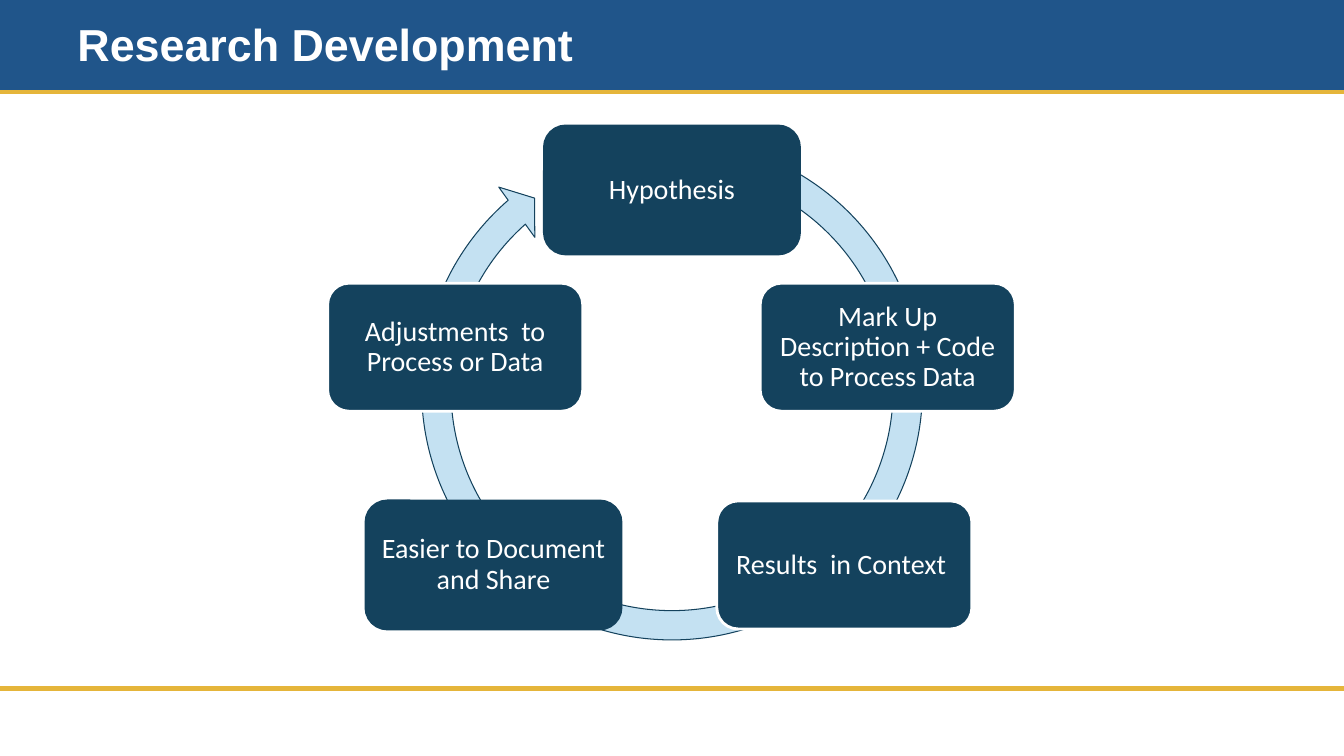
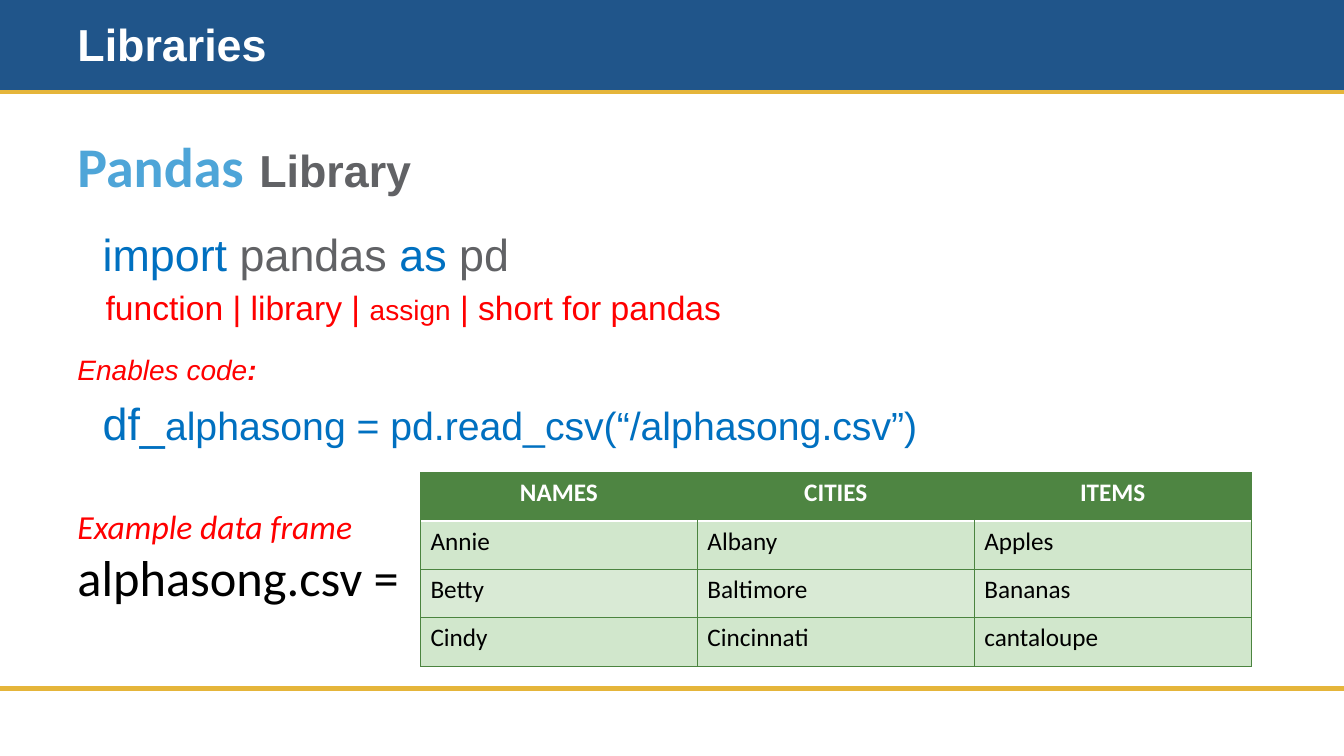
from lxml import etree
from pptx import Presentation
from pptx.dml.color import RGBColor
from pptx.enum.shapes import MSO_CONNECTOR as Connector, MSO_SHAPE as Shape
from pptx.enum.text import MSO_ANCHOR as Anchor, PP_ALIGN as Align
from pptx.oxml.ns import qn
from pptx.util import Emu, Pt

PX = 9144  # EMU; 100 px to the inch
WIDTH, HEIGHT = 1333, 750
BAND_HEIGHT, FOOTER_TOP = 91, 683

WHITE, BLACK, RED = "FFFFFF", "000000", "FF0000"
BAND, GOLD = "20558A", "E5B53A"
NAVY, PALE_BLUE = "14425D", "C4E1F2"
SKY, GREY, CODE_BLUE = "4EA5D8", "616265", "0070C0"
GREEN, GRID_GREEN = "4E8542", "4B843F"
ROW_FILLS = ["D1E7CC", "D9EAD5"]

TITLE = dict(size=32, name="Arial", color=WHITE, bold=True)
NODE = dict(size=20, name="Calibri", color=WHITE)


def px(*lengths):
    return [Emu(length * PX) for length in lengths]


def rgb(value):
    return RGBColor.from_string(value)


def apply(target, **values):
    for name, value in values.items():
        setattr(target, name, value)


def add_runs(paragraph, *runs):
    """Add (text, format) pairs to a paragraph."""
    for text, style in runs:
        run = paragraph.add_run()
        run.text = text
        for name, value in style.items():
            if name == "color":
                run.font.color.rgb = rgb(value)
            else:
                setattr(run.font, name, Pt(value) if name == "size" else value)


def add_box(slide, kind, box, fill, line=None, line_width=0):
    shape = slide.shapes.add_shape(kind, *px(*box))
    shape.shadow.inherit = False
    shape.fill.solid()
    shape.fill.fore_color.rgb = rgb(fill)
    if line:
        shape.line.color.rgb = rgb(line)
        shape.line.width = Pt(line_width)
    else:
        shape.line.fill.background()
    return shape


def add_text(slide, box, paragraphs, anchor=Anchor.TOP):
    """Add a text box from (indent px, space before pt, runs) paragraphs."""
    frame = slide.shapes.add_textbox(*px(*box)).text_frame
    apply(frame, word_wrap=True, vertical_anchor=anchor)
    for index, (indent, before, runs) in enumerate(paragraphs):
        paragraph = frame.add_paragraph() if index else frame.paragraphs[0]
        if indent:
            paragraph._p.get_or_add_pPr().set("marL", str(indent * PX))
        paragraph.space_before = Pt(before)
        add_runs(paragraph, *runs)


def add_rule(slide, top):
    rule = slide.shapes.add_connector(Connector.STRAIGHT, *px(0, top, WIDTH, top))
    rule.line.color.rgb = rgb(GOLD)
    rule.line.width = Pt(3)
    etree.SubElement(rule._element.spPr, qn("a:effectLst"))


def add_slide(presentation, title):
    """Add a slide with the shared band, rules and title."""
    slide = presentation.slides.add_slide(presentation.slide_layouts[6])
    add_box(slide, Shape.RECTANGLE, (0, 0, WIDTH, BAND_HEIGHT), BAND)
    for top in (FOOTER_TOP, BAND_HEIGHT):
        add_rule(slide, top)
    add_text(slide, (67, 18, 920, 50), [(0, 0, [(title, TITLE)])], Anchor.MIDDLE)
    return slide


def add_node(slide, center_x, center_y, text, outline):
    width, height = 253, 127
    box = (center_x - width // 2, center_y - height // 2, width, height)
    node = add_box(slide, Shape.ROUNDED_RECTANGLE, box, NAVY, outline, 2)
    frame = node.text_frame
    inset, = px(8)
    apply(frame, word_wrap=True, vertical_anchor=Anchor.MIDDLE, margin_left=inset,
          margin_right=inset, margin_top=inset, margin_bottom=inset)
    apply(frame.paragraphs[0], alignment=Align.CENTER, line_spacing=0.9)
    add_runs(frame.paragraphs[0], (text, NODE))


def add_cycle(slide, left, top, size):
    """Draw the circular arrow in a square and its nodes around the centre."""
    ring = add_box(slide, Shape.CIRCULAR_ARROW, (left, top, size, size),
                   PALE_BLUE, NAVY, 0.75)
    for index, value in enumerate((0.055, 3.31, 137.29, 174.15, 0.058)):
        ring.adjustments[index] = value
    center_x, center_y = left + size // 2, top + size // 2
    for offset_x, offset_y, text, outline in [
        (0, -198, "Hypothesis", NAVY),
        (214, -42, "Mark Up Description + Code to Process Data", WHITE),
        (171, 174, "Results  in Context ", WHITE),
        (-177, 174, "Easier to Document and Share", NAVY),
        (-215, -42, "Adjustments  to Process or Data", WHITE),
    ]:
        add_node(slide, center_x + offset_x, center_y + offset_y, text, outline)


def add_border(cell, side, color, width):
    properties = cell._tc.get_or_add_tcPr()
    line = etree.SubElement(properties, qn(f"a:ln{side}"), w=str(Pt(width)))
    fill = etree.SubElement(line, qn("a:solidFill"))
    etree.SubElement(fill, qn("a:srgbClr"), val=color)


def add_data_table(slide, box, rows):
    table = slide.shapes.add_table(len(rows), len(rows[0]), *px(*box)).table
    for row_index, values in enumerate(rows):
        header = row_index == 0
        grid = (GREEN if header else GRID_GREEN, 0.75)
        divider = (WHITE, 2)
        borders = dict(L=grid, R=grid, T=divider if row_index == 1 else grid,
                       B=divider if header else grid)
        for column, value in enumerate(values):
            cell = table.cell(row_index, column)
            for side, border in borders.items():
                add_border(cell, side, *border)
            cell.fill.solid()
            fill = GREEN if header else ROW_FILLS[(row_index - 1) % 2]
            cell.fill.fore_color.rgb = rgb(fill)
            paragraph = cell.text_frame.paragraphs[0]
            paragraph.alignment = Align.CENTER if header else Align.LEFT
            add_runs(paragraph, (value, dict(
                size=18, name="Calibri", bold=header,
                color=WHITE if header else BLACK)))


def add_library_text(slide, box):
    def arial(size, color, **extra):
        return dict(size=size, name="Arial", color=color, **extra)

    keyword, word = arial(32, CODE_BLUE), arial(32, GREY)
    note, small_note = arial(24, RED), arial(20, RED)
    add_text(slide, box, [
        (0, 0, [("Pandas", dict(size=40, name="Calibri", color=SKY, bold=True)),
                (" ", arial(40, SKY, bold=True)),
                ("Library", arial(32, GREY, bold=True))]),
        (25, 20, [("import", keyword), (" pandas ", word), ("as", keyword),
                  (" pd", word)]),
        (28, 4, [("function | library | ", note), ("assign", small_note),
                 (" | short for pandas", note)]),
        (0, 18, [("Enables code", arial(20, RED, italic=True)),
                 (":", arial(20, RED, italic=True, bold=True))]),
        (25, 7, [("df_", keyword),
                 ("alphasong = pd.read_csv(“/alphasong.csv”)",
                  arial(28, CODE_BLUE))]),
    ])


def add_table_label(slide, box):
    add_text(slide, box, [
        (0, 0, [("Example data frame",
                 dict(size=24, name="Calibri", color=RED, italic=True))]),
        (0, 0, [("alphasong.csv =", dict(size=36, name="Calibri", color=BLACK))]),
    ])


def main():
    presentation = Presentation()
    slide_width, slide_height = px(WIDTH, HEIGHT)
    apply(presentation, slide_width=slide_width, slide_height=slide_height)

    add_cycle(add_slide(presentation, "Research Development"), 402, 122, 529)

    libraries = add_slide(presentation, "Libraries")
    add_library_text(libraries, (67, 126, 1200, 335))
    add_data_table(libraries, (417, 469, 824, 192), [
        ("NAMES", "CITIES", "ITEMS"),
        ("Annie", "Albany", "Apples"),
        ("Betty", "Baltimore", "Bananas"),
        ("Cindy", "Cincinnati", "cantaloupe"),
    ])
    add_table_label(libraries, (67, 497, 350, 111))
    presentation.save("out.pptx")


if __name__ == "__main__":
    main()
